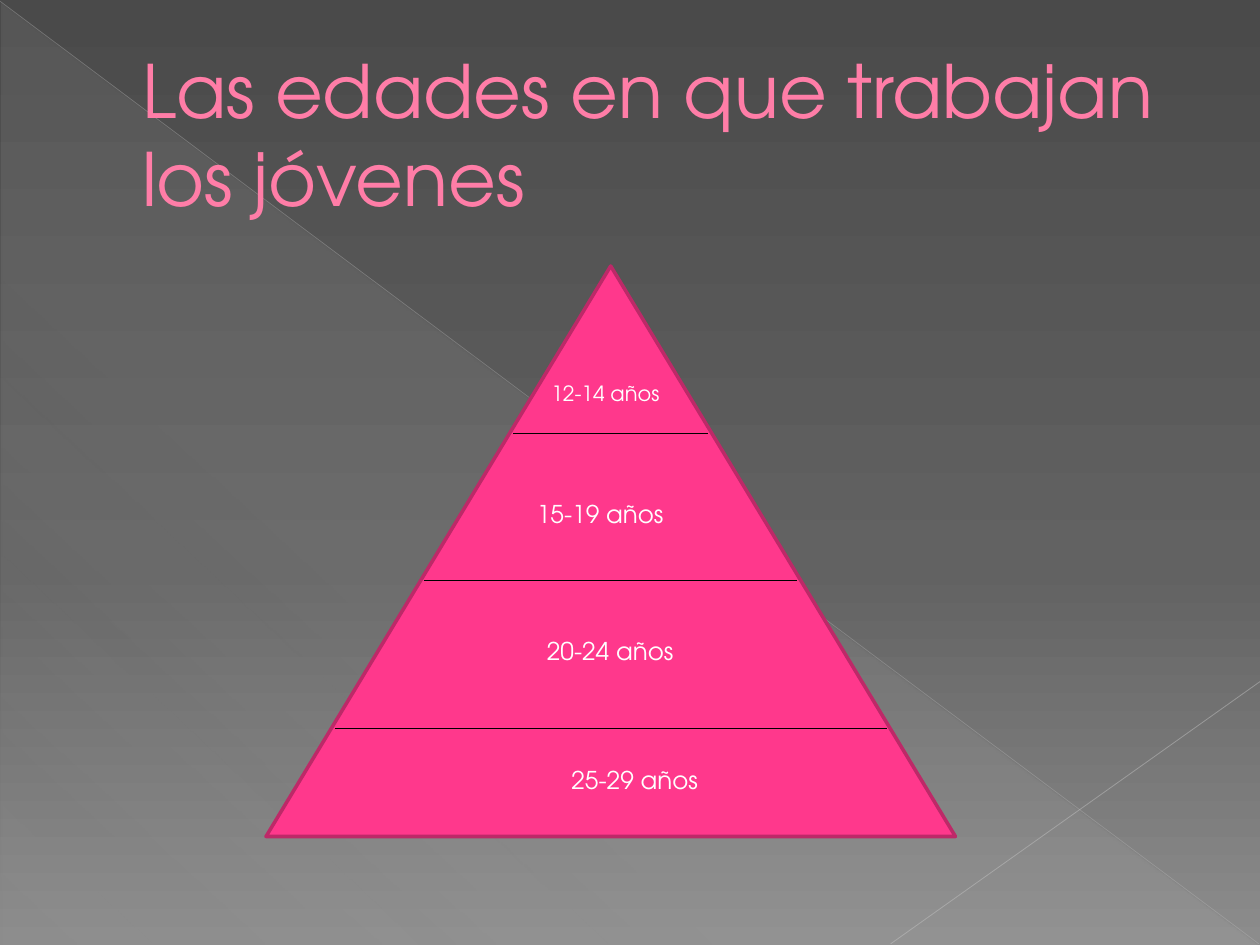
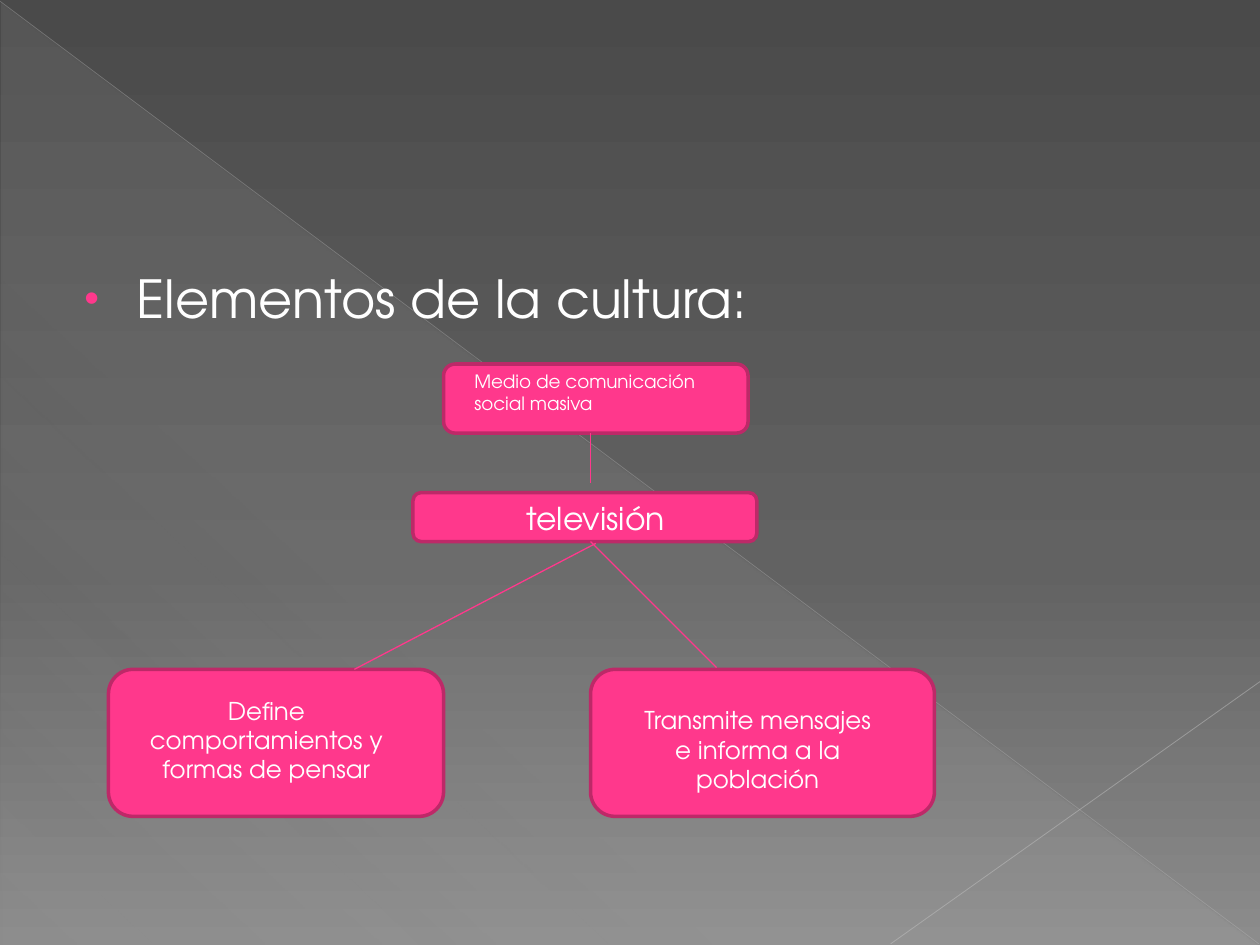
from lxml.etree import SubElement
from pptx import Presentation
from pptx.dml.color import RGBColor
from pptx.enum.shapes import MSO_CONNECTOR as Connector, MSO_SHAPE as Shape
from pptx.enum.text import MSO_ANCHOR as Anchor, MSO_AUTO_SIZE as AutoSize, PP_ALIGN as Align
from pptx.oxml.ns import qn
from pptx.util import Pt

FONT = "TeX Gyre Adventor"
PINK = RGBColor(0xFF, 0x38, 0x8C)
PINK_EDGE = RGBColor(0xBD, 0x29, 0x68)
TITLE_PINK = RGBColor(0xFF, 0x7D, 0xA7)
TITLE_EDGE = RGBColor(0xB1, 0x27, 0x61)
WHITE = RGBColor(0xFF, 0xFF, 0xFF)
BLACK = RGBColor(0, 0, 0)
HAZE = RGBColor(0xD2, 0xD2, 0xD2)
DIAGONAL = RGBColor(0xBF, 0xBF, 0xBF)
CORNER = RGBColor(0xC6, 0xC6, 0xC6)
DARK = RGBColor(0x4A, 0x4A, 0x4A)
MIDDLE = RGBColor(0x62, 0x62, 0x62)
LIGHT = RGBColor(0x8C, 0x8C, 0x8C)

# Gradient stops: position %, colour, opacity %
BACKGROUND = [(0, DARK, 100), (60, MIDDLE, 100), (100, LIGHT, 100)]
HAZE_STOPS = [(0, HAZE, 10), (70, HAZE, 8), (100, HAZE, 1)]
# Master lines: start, end, colour, width, opacity %
MASTER_LINES = [
    ((0, 0.7), (719.3, 539.3), DIAGONAL, 0.39, 35),
    ((720, 389.5), (509, 539.3), CORNER, 0.47, 45),
]

TITLE = "Las edades en que trabajan los jóvenes"
PYRAMID = (152, 152, 394, 326)
FIRST_DIVIDER, DIVIDER_STEP, DIVIDER_INSET = 247.7, 84.2, 2
# Age groups: text, frame (left, top, width, height), size
AGES = [
    ("12-14 años", (304, 214, 84, 22), 12),
    ("15-19 años", (270, 281.5, 146, 24.5), 14),
    ("20-24 años", (247.5, 360, 202.5, 24.5), 14),
    ("25-29 años", (208, 433.5, 309.5, 24.5), 14),
]

HEADING = "Elementos de la cultura:"
# Concepts: text, box, text frame, size, alignment
CONCEPTS = [
    ("Medio de comunicación social masiva", (253.5, 208, 174, 39.5),
     (264, 208, 152, 32.5), 10.5, Align.LEFT),
    ("televisión", (236, 281.5, 196.5, 28),
     (253.5, 281.5, 174, 29), 18, Align.CENTER),
    ("Define comportamientos y formas de pensar", (62, 382.5, 191.5, 84),
     (73.5, 394, 157.5, 58), 14, Align.CENTER),
    ("Transmite mensajes e informa a la población", (337.5, 382.5, 196.5, 84),
     (360, 399.5, 146, 58), 14, Align.CENTER),
]
LINKS = [
    ((337.5, 247.5), (337.5, 276)),
    ((340.5, 310.5), (202.5, 382.5)),
    ((337.5, 309.5), (409.5, 381.5)),
]


def points(values):
    """Turn plain numbers into lengths in points."""
    return [Pt(value) for value in values]


def add_alpha(color_node, opacity):
    """Make an XML colour translucent when its opacity is below 100 %."""
    if opacity < 100:
        SubElement(color_node, qn("a:alpha"), val=str(opacity * 1000))


def add_color(parent, color, opacity=100):
    """Append an RGB colour, with its opacity, to an XML parent."""
    add_alpha(SubElement(parent, qn("a:srgbClr"), val=str(color)), opacity)


def set_gradient(fill, owner, stops, angle):
    """Give a fill, held in the owner element, a linear gradient."""
    fill.gradient()
    gradient = next(owner.iter(qn("a:gradFill")))
    stop_list = gradient.find(qn("a:gsLst"))
    for old in list(stop_list):
        stop_list.remove(old)
    for position, color, opacity in stops:
        stop = SubElement(stop_list, qn("a:gs"), pos=str(position * 1000))
        add_color(stop, color, opacity)
    gradient.find(qn("a:lin")).set("ang", str(angle * 60000))


def draw_line(slide, start, end, color, width, opacity=100):
    """Draw a straight connector without a shadow."""
    line = slide.shapes.add_connector(Connector.STRAIGHT, *points(start + end))
    line.line.width = Pt(width)
    line.line.color.rgb = color
    add_alpha(next(line.element.iter(qn("a:srgbClr"))), opacity)
    SubElement(line.element.spPr, qn("a:effectLst"))
    return line


def draw_pink(slide, kind, frame):
    """Draw a pink shape with a darker edge."""
    shape = slide.shapes.add_shape(kind, *points(frame))
    shape.shadow.inherit = False
    shape.fill.solid()
    shape.fill.fore_color.rgb = PINK
    shape.line.color.rgb = PINK_EDGE
    shape.line.width = Pt(2)


def write(holder, text, size, color=WHITE, align=Align.LEFT, **frame_format):
    """Write one formatted paragraph and return it."""
    frame = holder.text_frame
    for key, value in {"word_wrap": True, **frame_format}.items():
        setattr(frame, key, value)
    paragraph = frame.paragraphs[0]
    paragraph.alignment = align
    run = paragraph.add_run()
    run.text = text
    for key, value in {"name": FONT, "size": Pt(size)}.items():
        setattr(run.font, key, value)
    run.font.color.rgb = color
    return paragraph


def add_label(slide, text, frame, size, align=Align.CENTER):
    """Add a white text box that grows with its text."""
    box = slide.shapes.add_textbox(*points(frame))
    write(box, text, size, align=align, auto_size=AutoSize.SHAPE_TO_FIT_TEXT)


def place(holder, frame):
    """Move a placeholder to a frame."""
    for key, value in zip(("left", "top", "width", "height"), points(frame)):
        setattr(holder, key, value)


def indent(paragraph, margin, first):
    """Set the left margin and first-line indent; return the properties."""
    properties = paragraph._p.get_or_add_pPr()
    properties.set("marL", str(Pt(margin)))
    properties.set("indent", str(Pt(first)))
    return properties


def outline_text(run, color, width):
    """Outline the letters of a run; the outline comes first in its properties."""
    properties = run._r.get_or_add_rPr()
    edge = SubElement(properties, qn("a:ln"), w=str(Pt(width)))
    add_color(SubElement(edge, qn("a:solidFill")), color)
    properties.insert(0, edge)


def dress_master(master, slide):
    """Put the background, haze and diagonals on the master, by way of a slide."""
    set_gradient(master.background.fill, master.element, BACKGROUND, 90)
    haze = slide.shapes.add_shape(Shape.RIGHT_TRIANGLE, *points((0.7, 1.4, 718.6, 538.6)))
    haze.shadow.inherit = False
    set_gradient(haze.fill, haze.element, HAZE_STOPS, 133)
    haze.line.fill.background()
    decor = [haze] + [draw_line(slide, *line) for line in MASTER_LINES]
    tree = master.shapes.element
    for index, shape in enumerate(decor, start=2):
        next(shape.element.iter(qn("p:cNvPr"))).set("id", str(100 + index))
        tree.insert(index, shape.element)


def build_ages(slide):
    """Build the pyramid of working ages."""
    place(slide.shapes.title, (36, 21, 648, 110))
    paragraph = write(slide.shapes.title, TITLE, 42, TITLE_PINK,
                      auto_size=AutoSize.NONE, vertical_anchor=Anchor.MIDDLE)
    indent(paragraph, 38, 0)
    outline_text(paragraph.runs[0], TITLE_EDGE, 0.5)

    draw_pink(slide, Shape.ISOSCELES_TRIANGLE, PYRAMID)
    left, top, width, height = PYRAMID
    center = left + width / 2
    for step in range(len(AGES) - 1):
        y = FIRST_DIVIDER + step * DIVIDER_STEP
        half = width / 2 * (y - top) / height - DIVIDER_INSET
        draw_line(slide, (center - half, y), (center + half, y), BLACK, 0.75)
    for age in AGES:
        add_label(slide, *age)


def build_culture(slide):
    """Build the concept map about television."""
    title = slide.shapes.title.element
    title.getparent().remove(title)
    body = slide.placeholders[1]
    place(body, (36, 148.5, 648, 360))
    paragraph = write(body, HEADING, 30, auto_size=AutoSize.NONE)
    properties = indent(paragraph, 35, -30)
    add_color(SubElement(properties, qn("a:buClr")), PINK)
    SubElement(properties, qn("a:buSzPct"), val="80000")
    SubElement(properties, qn("a:buChar"), char="•")

    for text, box, frame, size, align in CONCEPTS:
        draw_pink(slide, Shape.ROUNDED_RECTANGLE, box)
        add_label(slide, text, frame, size, align)
    for start, end in LINKS:
        draw_line(slide, start, end, PINK, 0.75)


deck = Presentation()
deck.slide_width, deck.slide_height = Pt(720), Pt(540)
title_only, title_and_body = deck.slide_layouts[5], deck.slide_layouts[1]
ages = deck.slides.add_slide(title_only)
dress_master(deck.slide_master, ages)
build_ages(ages)
build_culture(deck.slides.add_slide(title_and_body))
deck.save("out.pptx")
